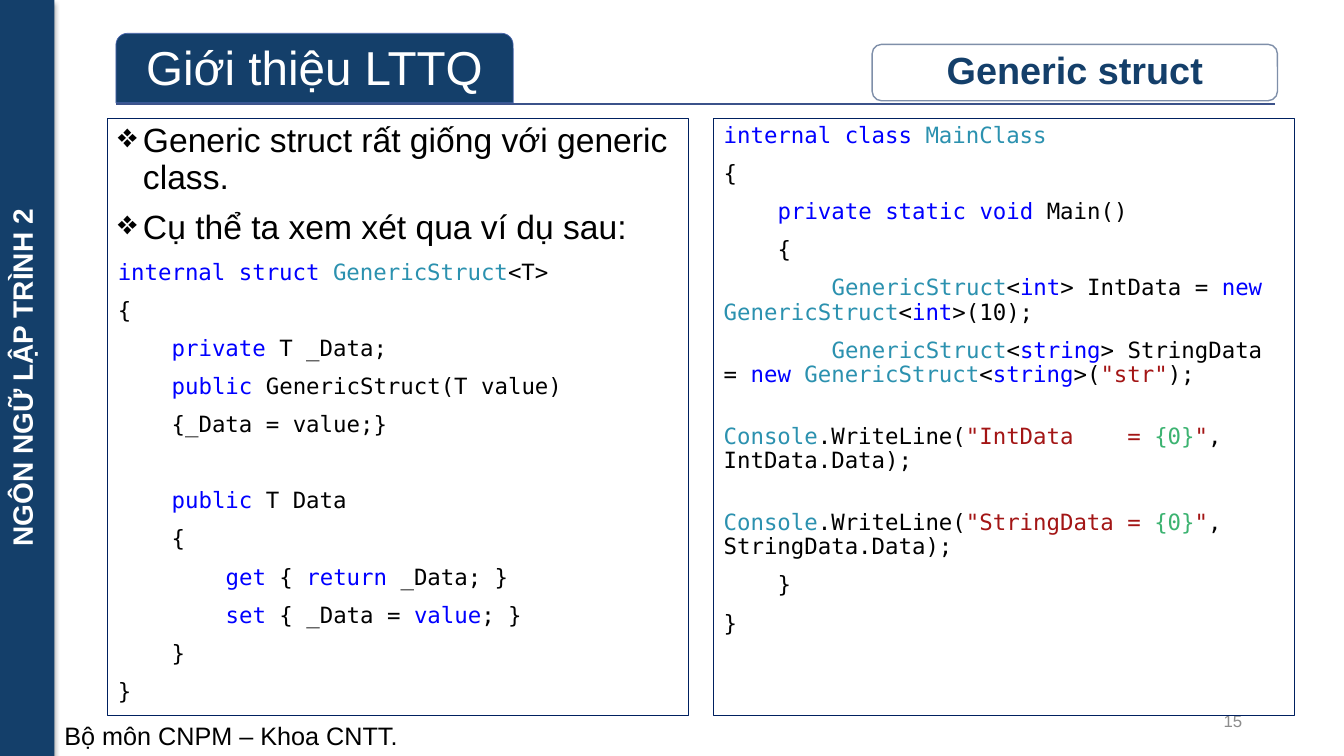
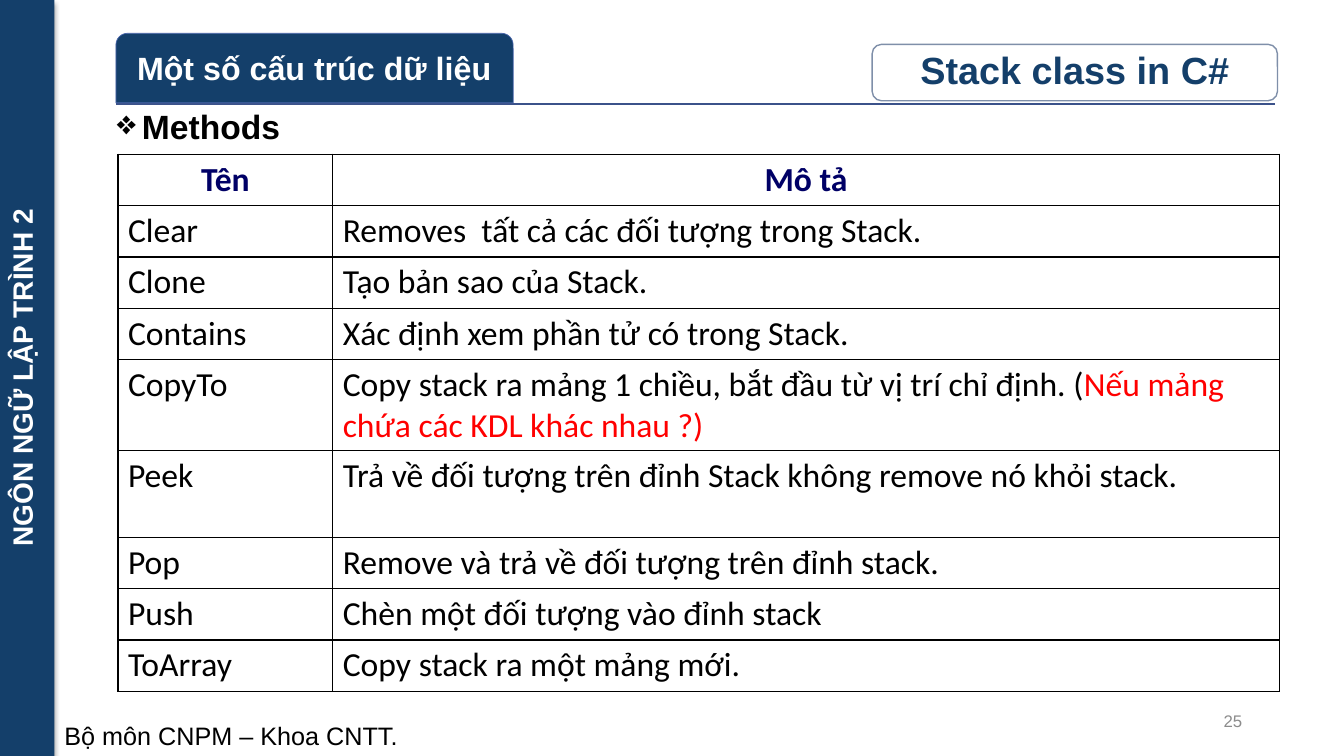
from lxml import etree
from pptx import Presentation
from pptx import util as u
from pptx.dml.color import RGBColor
from pptx.enum import shapes, text
from pptx.oxml.ns import qn

# Shared style
NAVY, WHITE, BLACK = "143F6A", "FFFFFF", "000000"
RULE, TAB_EDGE, BADGE_EDGE, PANEL_EDGE = "3B528A", "4A66AC", "7F8FA9", "002060"
GREY, HEADER, RED = "8C8C8C", "000066", "FF0000"
SANS, MONO, TABLE_FONT = "Arial", "DejaVu Sans Mono", "Calibri"
CENTER, RIGHT = text.PP_ALIGN.CENTER, text.PP_ALIGN.RIGHT
MIDDLE = text.MSO_ANCHOR.MIDDLE

# Code marks: `k:word` is a keyword, t a type, s a string, p a placeholder
CODE_COLORS = {"k": "0000FF", "t": "2B91AF", "s": "A31515", "p": "3CB371"}
CODE_INDENT = 0.535
CODE_SIZE = 16
GAP = 10
LINE = 17

# Code lines: (indent level, marked text, space before in points)
STRUCT_CODE = [
    (0, "`k:internal` `k:struct` `t:GenericStruct`<T>", GAP),
    (0, "{", GAP),
    (1, "`k:private` T _Data;", GAP),
    (1, "`k:public` GenericStruct(T value)", GAP),
    (1, "{_Data = value;}", GAP),
    (1, "`k:public` T Data", 2 * GAP + LINE),
    (1, "{", GAP),
    (2, "`k:get` { `k:return` _Data; }", GAP),
    (2, "`k:set` { _Data = `k:value`; }", GAP),
    (1, "}", GAP),
    (0, "}", GAP),
]
MAIN_CODE = [
    (0, "`k:internal` `k:class` `t:MainClass`", GAP),
    (0, "{", GAP),
    (1, "`k:private` `k:static` `k:void` Main()", GAP),
    (1, "{", GAP),
    (2, "`t:GenericStruct`<`k:int`> IntData = `k:new` `t:GenericStruct`<`k:int`>(10);", GAP),
    (2, "`t:GenericStruct`<`k:string`> StringData = `k:new` "
        "`t:GenericStruct`<`k:string`>(`s:\"str\"`);", GAP),
    (0, "`t:Console`.WriteLine(`s:\"IntData    = ``p:{0}``s:\"`, IntData.Data);", GAP + LINE),
    (0, "`t:Console`.WriteLine(`s:\"StringData = ``p:{0}``s:\"`, StringData.Data);", GAP + LINE),
    (1, "}", GAP),
    (0, "}", GAP),
]

# Table rows: (name, description runs, height)
METHODS = [
    ("Tên", [("Mô tả", HEADER)], 0.51),
    ("Clear", [("Removes  tất cả các đối tượng trong Stack.", BLACK)], 0.51),
    ("Clone", [("Tạo bản sao của Stack.", BLACK)], 0.51),
    ("Contains", [("Xác định xem phần tử có trong Stack.", BLACK)], 0.51),
    ("CopyTo", [("Copy stack ra mảng 1 chiều, bắt đầu từ vị trí chỉ định. (", BLACK),
                ("Nếu mảng chứa các KDL khác nhau ?)", RED)], 0.76),
    ("Peek", [("Trả về đối tượng trên đỉnh Stack không remove nó khỏi stack.", BLACK)], 0.86),
    ("Pop", [("Remove và trả về đối tượng trên đỉnh stack.", BLACK)], 0.51),
    ("Push", [("Chèn một đối tượng vào đỉnh stack", BLACK)], 0.51),
    ("ToArray", [("Copy stack ra một mảng mới.", BLACK)], 0.51),
]


def color(value):
    return RGBColor.from_string(value)


def inches(box):
    return [u.Inches(length) for length in box]


def set_font(font, size, name=SANS, fill=BLACK, bold=False):
    font.size, font.name, font.bold = u.Pt(size), name, bold
    font.color.rgb = color(fill)


def add_box(slide, kind, box, fill=None, edge=None, width=1):
    shape = slide.shapes.add_shape(kind, *inches(box))
    shape.shadow.inherit = False
    if fill:
        shape.fill.solid()
        shape.fill.fore_color.rgb = color(fill)
    else:
        shape.fill.background()
    if edge:
        shape.line.color.rgb = color(edge)
        shape.line.width = u.Pt(width)
    else:
        shape.line.fill.background()
    return shape


def write_line(shape, words, size, fill=BLACK, bold=False, align=None, anchor=None):
    frame = shape.text_frame
    frame.word_wrap = True
    frame.vertical_anchor = anchor or text.MSO_ANCHOR.TOP
    paragraph = frame.paragraphs[0]
    paragraph.text = words
    paragraph.alignment = align or text.PP_ALIGN.LEFT
    set_font(paragraph.font, size, fill=fill, bold=bold)
    return paragraph


def add_label(slide, box, words, size, **style):
    return write_line(slide.shapes.add_textbox(*inches(box)), words, size, **style)


def next_paragraph(frame):
    """Use the empty first paragraph before adding more."""
    first = frame.paragraphs[0]
    return frame.add_paragraph() if first.runs else first


def space_text(paragraph, before=GAP):
    paragraph.alignment = text.PP_ALIGN.LEFT
    paragraph.line_spacing = 0.9
    paragraph.space_before = u.Pt(before)


def set_indent(paragraph, left, first):
    properties = paragraph._p.get_or_add_pPr()
    properties.set("marL", str(u.Inches(left)))
    properties.set("indent", str(u.Inches(first)))
    return properties


def add_bullet(frame, words, bold=False):
    paragraph = next_paragraph(frame)
    paragraph.text = words
    set_font(paragraph.font, 24, bold=bold)
    space_text(paragraph)
    properties = set_indent(paragraph, 0.25, -0.25)
    mark = etree.Element(qn("a:buChar"), char="❖")
    properties.insert_element_before(mark, "a:tabLst", "a:defRPr", "a:extLst")


def add_code(frame, lines):
    for level, marked, before in lines:
        paragraph = next_paragraph(frame)
        space_text(paragraph, before)
        set_indent(paragraph, 0, level * CODE_INDENT)
        for index, piece in enumerate(marked.split("`")):
            if not piece:
                continue
            run = paragraph.add_run()
            fill = BLACK
            if index % 2:
                key, piece = piece.split(":", 1)
                fill = CODE_COLORS[key]
            run.text = piece
            set_font(run.font, CODE_SIZE, MONO, fill)


def add_panel(slide, left):
    box = (left, 1.18, 5.76, 5.92)
    panel = add_box(slide, shapes.MSO_SHAPE.RECTANGLE, box, edge=PANEL_EDGE, width=0.75)
    panel.text_frame.word_wrap = True
    panel.text_frame.vertical_anchor = text.MSO_ANCHOR.TOP
    return panel.text_frame


def add_sidebar(slide):
    sidebar = add_box(slide, shapes.MSO_SHAPE.RECTANGLE, (0, 0, 0.54, 7.5), NAVY)
    write_line(sidebar, "NGÔN NGỮ LẬP TRÌNH 2", 20, WHITE, True, CENTER)
    sidebar.text_frame._txBody.bodyPr.set("vert", "vert270")
    effects = sidebar._element.spPr.find(qn("a:effectLst"))
    shadow = etree.SubElement(effects, qn("a:outerShdw"), blurRad=str(u.Pt(3.5)),
                              dist=str(u.Pt(2.2)), dir="5400000")
    tint = etree.SubElement(shadow, qn("a:srgbClr"), val=BLACK)
    etree.SubElement(tint, qn("a:alpha"), val="32000")


def add_rule(slide):
    rule = slide.shapes.add_connector(shapes.MSO_CONNECTOR.STRAIGHT,
                                      *inches((1.15, 1.03, 12.65, 1.03)))
    rule.line.color.rgb = color(RULE)
    rule.line.width = u.Pt(1)
    etree.SubElement(rule._element.spPr, qn("a:effectLst"))


def add_frame_slide(presentation, chapter, chapter_size, chapter_bold, topic, number):
    slide = presentation.slides.add_slide(presentation.slide_layouts[6])
    add_sidebar(slide)
    add_label(slide, (0.54, 7.1, 12.79, 0.4), "Bộ môn CNPM – Khoa CNTT.", 18)
    add_rule(slide)
    # Chapter tab and topic badge
    tab = add_box(slide, shapes.MSO_SHAPE.ROUND_2_SAME_RECTANGLE,
                  (1.15, 0.33, 3.94, 0.69), NAVY, TAB_EDGE, 0.5)
    write_line(tab, chapter, chapter_size, WHITE, chapter_bold, CENTER, MIDDLE).line_spacing = 0.9
    badge = add_box(slide, shapes.MSO_SHAPE.ROUNDED_RECTANGLE,
                    (8.65, 0.44, 4.02, 0.56), WHITE, BADGE_EDGE)
    write_line(badge, topic, 27, NAVY, True, CENTER, MIDDLE).line_spacing = 0.9
    add_label(slide, (9.42, 6.95, 3, 0.4), number, 12, fill=GREY, align=RIGHT, anchor=MIDDLE)
    return slide


def add_cell_borders(cell):
    properties = cell._tc.get_or_add_tcPr()
    for side in ("a:lnL", "a:lnR", "a:lnT", "a:lnB"):
        line = etree.SubElement(properties, qn(side), w=str(u.Pt(1)))
        fill = etree.SubElement(line, qn("a:solidFill"))
        etree.SubElement(fill, qn("a:srgbClr"), val=BLACK)


def fill_cell(cell, runs, header):
    add_cell_borders(cell)
    cell.fill.background()
    paragraph = cell.text_frame.paragraphs[0]
    if header:
        paragraph.alignment = CENTER
    for words, fill in runs:
        run = paragraph.add_run()
        run.text = words
        set_font(run.font, 24, TABLE_FONT, fill, header)


def add_methods_table(slide):
    height = sum(row[2] for row in METHODS)
    table = slide.shapes.add_table(len(METHODS), 2,
                                   *inches((1.17, 1.53, 11.52, height))).table
    table.first_row = table.horz_banding = False
    for column, width in zip(table.columns, (2.13, 9.39)):
        column.width = u.Inches(width)
    for index, (name, description, row_height) in enumerate(METHODS):
        header = index == 0
        table.rows[index].height = u.Inches(row_height)
        fill_cell(table.cell(index, 0), [(name, HEADER if header else BLACK)], header)
        fill_cell(table.cell(index, 1), description, header)


def add_struct_slide(presentation):
    slide = add_frame_slide(presentation, "Giới thiệu LTTQ", 34, False, "Generic struct", "15")
    example = add_panel(slide, 1.07)
    add_bullet(example, "Generic struct rất giống với generic class.")
    add_bullet(example, "Cụ thể ta xem xét qua ví dụ sau:")
    add_code(example, STRUCT_CODE)
    add_code(add_panel(slide, 7.08), MAIN_CODE)


def add_stack_slide(presentation):
    slide = add_frame_slide(presentation, "Một số cấu trúc dữ liệu", 23, True,
                            "Stack class in C#", "25")
    heading = slide.shapes.add_textbox(*inches((1.06, 1.05, 11.75, 0.45)))
    heading.text_frame.word_wrap = True
    add_bullet(heading.text_frame, "Methods", bold=True)
    add_methods_table(slide)


def main():
    presentation = Presentation()
    presentation.slide_width, presentation.slide_height = inches((13.33, 7.5))
    add_struct_slide(presentation)
    add_stack_slide(presentation)
    presentation.save("out.pptx")


if __name__ == "__main__":
    main()
